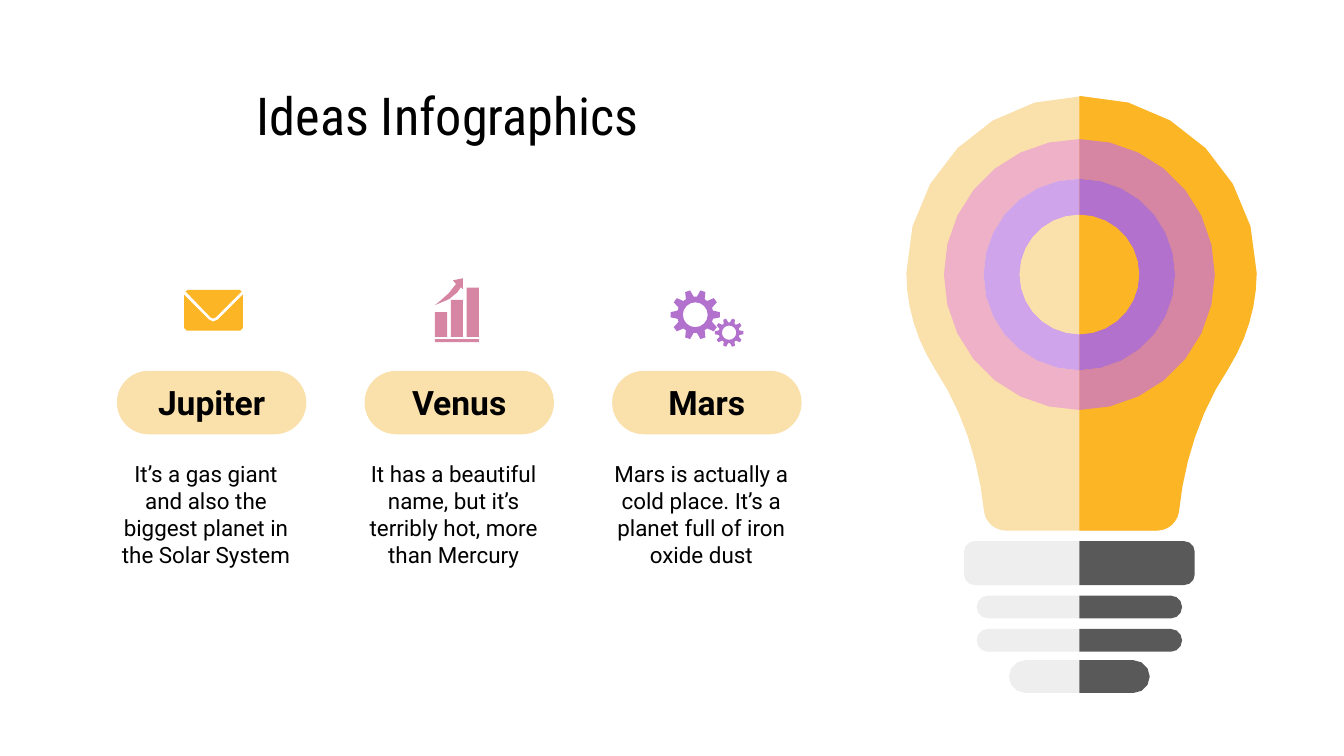
"""Build the Ideas Infographics slide: three planet cards beside a two-tone light bulb."""
import math

from pptx import Presentation
from pptx import util as u
from pptx.dml.color import RGBColor
from pptx.enum import shapes, text

TITLE = "Ideas Infographics"
CARDS = [
    ("Jupiter", "It’s a gas giant and also the biggest planet in the Solar System"),
    ("Venus", "It has a beautiful name, but it’s terribly hot, more than Mercury"),
    ("Mars", "Mars is actually a cold place. It’s a planet full of iron oxide dust"),
]
BLACK, CREAM, AMBER, ROSE, PURPLE = "000000", "FAE0AA", "FCB524", "D686A3", "B271CC"
LIGHT_GREY, DARK_GREY = "EEEEEE", "595959"

BULB_AXIS, SPLIT, RING_Y = 20.44, 20.4, 5.19
BULB_SIDE = [
    (0, 1.82),
    (1.84, 1.82, 3.31, 3.33, 3.31, 5.16),
    (3.31, 5.82, 3.11, 6.43, 2.78, 6.96),
    (2.24, 7.77, 1.94, 8.71, 1.84, 9.68),
    (1.81, 9.88, 1.63, 10.03, 1.43, 10.03),
    (0, 10.03),
]
RINGS = [
    (2.56, 1.81, "EEB1C7", ROSE),
    (1.81, 1.13, "D0A4EB", PURPLE),
    (1.13, 0, CREAM, AMBER),
]
BASE_BARS = [
    (10.23, 2.18, 0.83, 0.2),
    (11.26, 1.94, 0.43, 0.21),
    (11.89, 1.94, 0.43, 0.21),
    (12.48, 1.33, 0.62, 0.31),
]
ENVELOPE = [
    [(3.55, 5.48), (4.53, 5.48), (4.57, 5.51), (4.08, 6),
     (4.03, 6.02), (3.98, 6), (3.51, 5.51)],
    [(3.48, 5.57), (3.48, 6.2), (3.53, 6.25), (4.54, 6.25), (4.59, 6.2),
     (4.59, 5.57), (4.12, 6.04), (4.03, 6.08), (3.95, 6.04)],
]
BAR_TOPS = [5.9, 5.67, 5.44]
GROWTH_ARROW = [
    (8.75, 5.26), (8.56, 5.3), (8.62, 5.37),
    (8.54, 5.53, 8.22, 5.77, 8.22, 5.77),
    (8.55, 5.68, 8.69, 5.49, 8.71, 5.43), (8.75, 5.47),
]
GEARS = [(13.14, 5.95, 0.47), (13.78, 6.29, 0.27)]


def color(value):
    return RGBColor.from_string(value)


def box_at(left, top, width, height):
    return [u.Cm(value) for value in (left, top, width, height)]


def paint(shape, fill):
    shape.shadow.inherit = False
    shape.fill.solid()
    shape.fill.fore_color.rgb = color(fill)
    shape.line.fill.background()


def write(shape, words, size, font, bold=False, right=0.25):
    frame = shape.text_frame
    frame.word_wrap = True
    frame.auto_size = text.MSO_AUTO_SIZE.NONE
    frame.vertical_anchor = text.MSO_ANCHOR.MIDDLE
    frame.margin_left = frame.margin_top = frame.margin_bottom = u.Cm(0.25)
    frame.margin_right = u.Cm(right)
    para = frame.paragraphs[0]
    para.text = words
    para.alignment = text.PP_ALIGN.CENTER
    para.font.name, para.font.size, para.font.bold = font, u.Pt(size), bold
    para.font.color.rgb = color(BLACK)


def flatten(outline, steps):
    points = []
    for part in outline:
        if len(part) == 2:
            points.append(part)
            continue
        curve = [points[-1], part[:2], part[2:4], part[4:]]
        for step in range(1, steps + 1):
            t = step / steps
            weights = [(1 - t) ** 3, 3 * t * (1 - t) ** 2, 3 * t * t * (1 - t), t ** 3]
            points.append(tuple(sum(w * p[axis] for w, p in zip(weights, curve))
                                for axis in (0, 1)))
    return points


def polar(x, y, radius, degrees):
    angle = math.radians(degrees)
    return x + radius * math.cos(angle), y + radius * math.sin(angle)


def arc(x, y, radius, start, end, steps):
    return [polar(x, y, radius, start + (end - start) * step / steps)
            for step in range(steps + 1)]


def mirror(points, axis):
    return [(2 * axis - x, y) for x, y in points]


def draw(group, fill, *contours):
    contours = [[(u.Cm(x), u.Cm(y)) for x, y in contour] for contour in contours]
    builder = group.shapes.build_freeform(*contours[0][0])
    builder.add_line_segments(contours[0][1:])
    for contour in contours[1:]:
        builder.move_to(*contour[0])
        builder.add_line_segments(contour[1:])
    paint(builder.convert_to_shape(), fill)


def draw_bulb(group):
    side = [(BULB_AXIS + x, y) for x, y in flatten(BULB_SIDE, 6)]
    draw(group, CREAM, side + mirror(side, BULB_AXIS)[::-1])
    draw(group, AMBER, [(SPLIT, side[0][1])] + side + [(SPLIT, side[-1][1])])
    halves = []
    for outer, inner, left_fill, right_fill in RINGS:
        half = arc(SPLIT, RING_Y, outer, -90, 90, 14)
        if inner:
            half += arc(SPLIT, RING_Y, inner, 90, -90, 14)
        halves.append((half, left_fill, right_fill))
    for top, width, height, radius in BASE_BARS:
        bottom, corner = top + height, SPLIT + width - radius
        half = ([(SPLIT, top)] + arc(corner, top + radius, radius, -90, 0, 3)
                + arc(corner, bottom - radius, radius, 0, 90, 3) + [(SPLIT, bottom)])
        halves.append((half, LIGHT_GREY, DARK_GREY))
    for half, left_fill, right_fill in halves:
        draw(group, left_fill, mirror(half, SPLIT))
        draw(group, right_fill, half)


def draw_chart_icon(group):
    bars = [(8.22 + 0.3 * i, top, 0.23, 6.37 - top) for i, top in enumerate(BAR_TOPS)]
    for bar in bars + [(8.22, 6.41, 0.83, 0.06)]:
        paint(group.shapes.add_shape(shapes.MSO_SHAPE.RECTANGLE, *box_at(*bar)), ROSE)
    draw(group, ROSE, flatten(GROWTH_ARROW, 3))


def draw_gear(group, x, y, radius, teeth=10):
    profile = [(-13, 0.73), (-6, 1), (6, 1), (13, 0.73)]
    rim = [polar(x, y, radius * share, 360 / teeth * tooth + turn)
           for tooth in range(teeth) for turn, share in profile]
    draw(group, PURPLE, rim, arc(x, y, radius / 2, 360, 0, 16))


def main():
    deck = Presentation()
    deck.slide_width, deck.slide_height = u.Cm(25.4), u.Cm(14.29)
    page = deck.slides.add_slide(deck.slide_layouts[5])
    title = page.shapes.title
    title.left, title.top, title.width, title.height = box_at(1.83, 1.5, 13.26, 1.35)
    write(title, TITLE, 28, "Roboto Condensed")

    draw_bulb(page.shapes.add_group_shape())
    envelope = page.shapes.add_group_shape()
    for outline in ENVELOPE:
        draw(envelope, AMBER, outline)
    draw_chart_icon(page.shapes.add_group_shape())
    gears = page.shapes.add_group_shape()
    for gear in GEARS:
        draw_gear(gears, *gear)

    for column, (planet, description) in enumerate(CARDS):
        shift = 4.68 * column
        box = page.shapes.add_textbox(*box_at(1.95 + shift, 8.61, 4.14, 2.21))
        write(box, description, 12, "Roboto", right=0.5)
        pill = page.shapes.add_shape(shapes.MSO_SHAPE.ROUNDED_RECTANGLE,
                                     *box_at(2.21 + shift, 7.01, 3.58, 1.2))
        pill.adjustments[0] = 0.5
        paint(pill, CREAM)
        write(pill, planet, 18, "Roboto", bold=True)
    deck.save("out.pptx")


if __name__ == "__main__":
    main()
